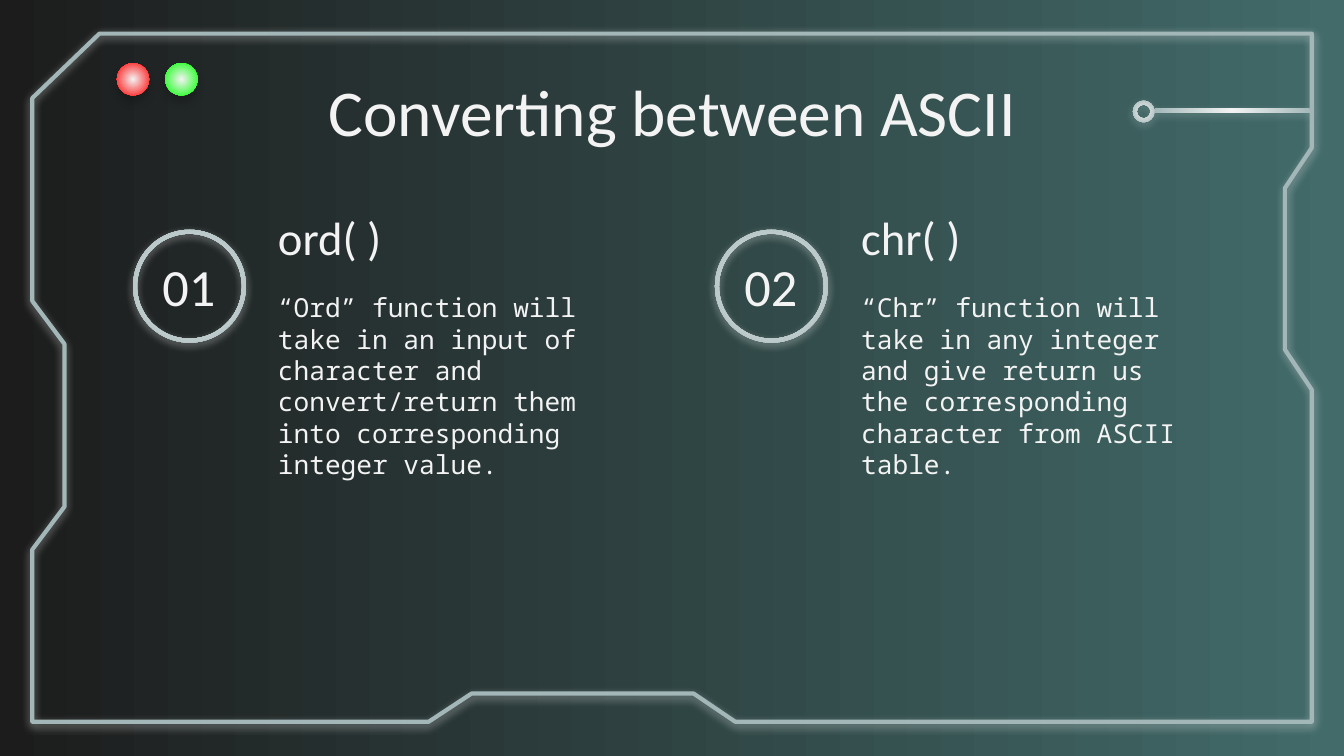
from dataclasses import dataclass

from lxml import etree
from pptx import Presentation
from pptx.dml.color import RGBColor
from pptx.enum.shapes import MSO_SHAPE
from pptx.enum.text import MSO_ANCHOR, PP_ALIGN
from pptx.oxml.ns import qn
from pptx.util import Inches, Pt

COLORS = {
    "night": "1C1C1C",
    "teal": "426B6A",
    "light": "F3F3F3",
    "steel": "A3B7B9",
    "red": "FF0000",
    "green": "00FF00",
    "black": "000000",
}
HEADING_FONT = "Calibri"
BODY_FONT = "Noto Sans Mono"


@dataclass(frozen=True)
class Shadow:
    color: str
    opacity: int
    distance: float
    blur: float = 4.5


@dataclass(frozen=True)
class Topic:
    number: str
    name: str
    description: str
    ring_left: float
    text_left: float


GLOW = Shadow("light", 50, 1.5)
STEEL_GLOW = Shadow("steel", 50, 1.5)
DROP = Shadow("black", 20, 3.8)

FRAME = [
    (9.76, 5.37), (5.47, 5.37), (5.16, 5.16), (3.51, 5.16), (3.19, 5.37),
    (0.24, 5.37), (0.24, 4.09), (0.48, 3.77), (0.48, 2.56), (0.24, 2.24),
    (0.24, 0.73), (0.74, 0.25), (9.76, 0.25), (9.76, 1.1), (9.56, 1.4),
    (9.56, 2.6), (9.76, 2.9),
]
TOPICS = [
    Topic("01", "ord( )",
          "“Ord” function will take in an input of character and "
          "convert/return them into corresponding integer value.", 0.99, 1.97),
    Topic("02", "chr( )",
          "“Chr” function will take in any integer and give return us "
          "the corresponding character from ASCII table.", 5.32, 6.31),
]
LIGHTS = [(0.87, "red"), (1.23, "green")]


def rgb(name: str) -> RGBColor:
    return RGBColor.from_string(COLORS[name])


def add_shadow(shape, shadow: Shadow) -> None:
    shape.shadow.inherit = False
    effects = shape._element.spPr.find(qn("a:effectLst"))
    outer = etree.SubElement(
        effects, qn("a:outerShdw"), blurRad=str(Pt(shadow.blur)),
        dist=str(Pt(shadow.distance)), dir="5400000", algn="bl", rotWithShape="0")
    color = etree.SubElement(outer, qn("a:srgbClr"), val=COLORS[shadow.color])
    etree.SubElement(color, qn("a:alpha"), val=str(shadow.opacity * 1000))


def set_gradient(fill, first: str, last: str) -> None:
    fill.gradient()
    fill.gradient_angle = 0
    for stop, name, position in zip(fill.gradient_stops, (first, last), (0, 1)):
        stop.color.rgb = rgb(name)
        stop.position = position


def add_glowing(page, kind, left: float, top: float, width: float, height: float,
                *, edge: str = "steel", shadow: Shadow = GLOW, ring: float = 0):
    """Add a shape whose fill runs from a light centre to the edge colour."""
    shape = page.shapes.add_shape(
        kind, Inches(left), Inches(top), Inches(width), Inches(height))
    if ring:
        shape.adjustments[0] = ring
    set_gradient(shape.fill, "light", edge)
    gradient = shape._element.spPr.find(qn("a:gradFill"))
    linear = gradient.find(qn("a:lin"))
    radial = etree.Element(qn("a:path"), path="circle")
    etree.SubElement(radial, qn("a:fillToRect"),
                     l="50000", t="50000", r="50000", b="50000")
    gradient.replace(linear, radial)
    shape.line.fill.background()
    add_shadow(shape, shadow)
    return shape


def add_text(page, text: str, left: float, top: float, width: float, height: float,
             *, size: float, font: str = HEADING_FONT, align=PP_ALIGN.LEFT,
             anchor=MSO_ANCHOR.TOP, side_inset: float = 0.1):
    box = page.shapes.add_textbox(
        Inches(left), Inches(top), Inches(width), Inches(height))
    frame = box.text_frame
    frame.word_wrap = True
    frame.vertical_anchor = anchor
    frame.margin_left = frame.margin_right = Inches(side_inset)
    frame.margin_top = frame.margin_bottom = Inches(0.1)
    para = frame.paragraphs[0]
    para.alignment = align
    span = para.add_run()
    span.text = text
    span.font.name = font
    span.font.size = Pt(size)
    span.font.color.rgb = rgb("light")
    return box


def add_frame(page) -> None:
    points = [(Inches(x), Inches(y)) for x, y in FRAME]
    builder = page.shapes.build_freeform(*points[0])
    builder.add_line_segments(points[1:], close=True)
    outline = builder.convert_to_shape()
    outline.fill.background()
    outline.line.color.rgb = rgb("steel")
    outline.line.width = Pt(2.25)
    add_shadow(outline, GLOW)


def add_topic(page, topic: Topic) -> None:
    add_text(page, topic.name, topic.text_left, 1.49, 2.7, 0.58,
             size=25, anchor=MSO_ANCHOR.BOTTOM)
    add_text(page, topic.description, topic.text_left, 2.07, 2.7, 0.53,
             size=14, font=BODY_FONT)
    add_text(page, topic.number, topic.ring_left + 0.07, 1.74, 0.69, 0.77, size=28,
             align=PP_ALIGN.CENTER, anchor=MSO_ANCHOR.MIDDLE, side_inset=0)
    add_glowing(page, MSO_SHAPE.DONUT, topic.ring_left, 1.71, 0.84, 0.84, ring=0.036)


def main() -> None:
    deck = Presentation()
    deck.slide_width = Inches(10)
    deck.slide_height = deck.slide_width * 9 // 16
    page = deck.slides.add_slide(deck.slide_layouts[6])
    set_gradient(page.background.fill, "night", "teal")

    # Outline and heading
    add_frame(page)
    add_text(page, "Converting between ASCII", 0.79, 0.59, 8.43, 0.47, size=35,
             align=PP_ALIGN.CENTER, anchor=MSO_ANCHOR.MIDDLE)

    # The two functions
    for topic in TOPICS:
        add_topic(page, topic)

    # Window lights
    for left, color in LIGHTS:
        add_glowing(page, MSO_SHAPE.OVAL, left, 0.47, 0.24, 0.24,
                    edge=color, shadow=DROP)

    # Circuit pin on the right edge
    add_glowing(page, MSO_SHAPE.RECTANGLE, 8.58, 0.81, 1.18, 0.03, shadow=STEEL_GLOW)
    add_glowing(page, MSO_SHAPE.DONUT, 8.43, 0.75, 0.16, 0.16,
                shadow=STEEL_GLOW, ring=0.18)

    deck.save("out.pptx")


if __name__ == "__main__":
    main()
